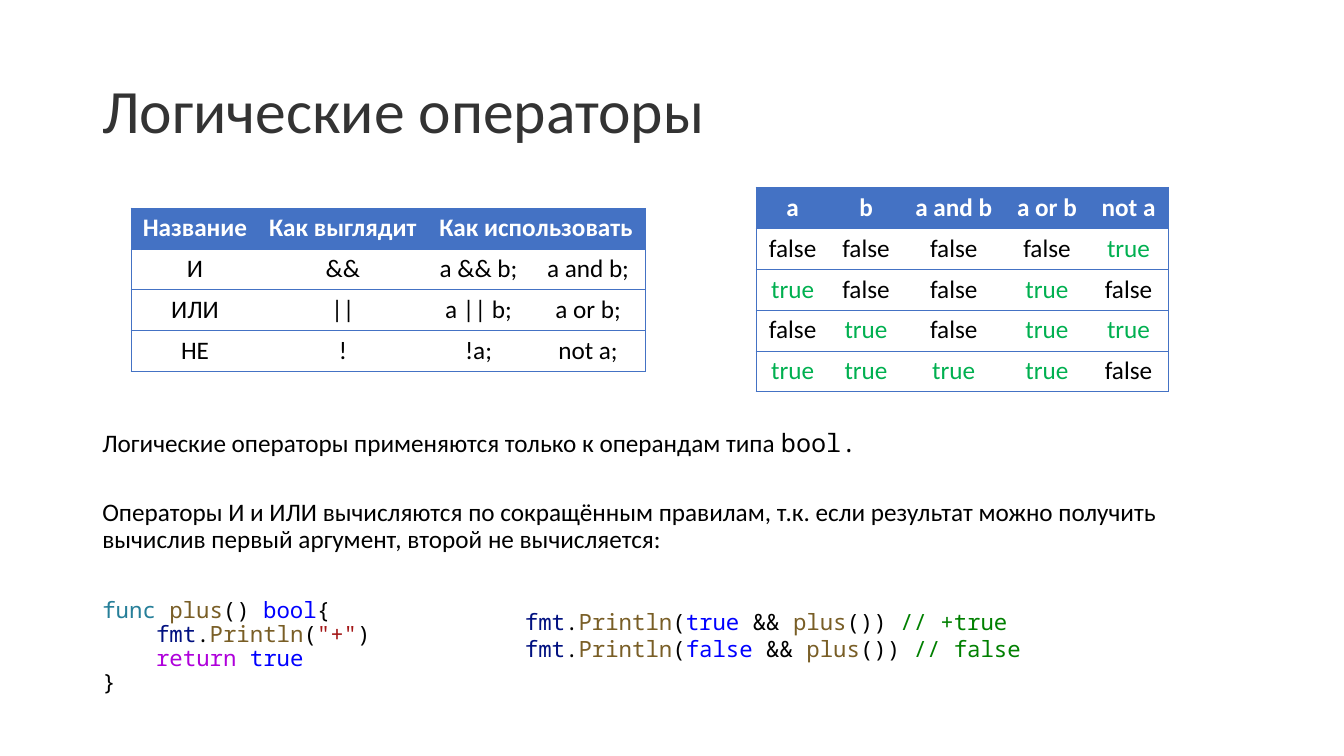
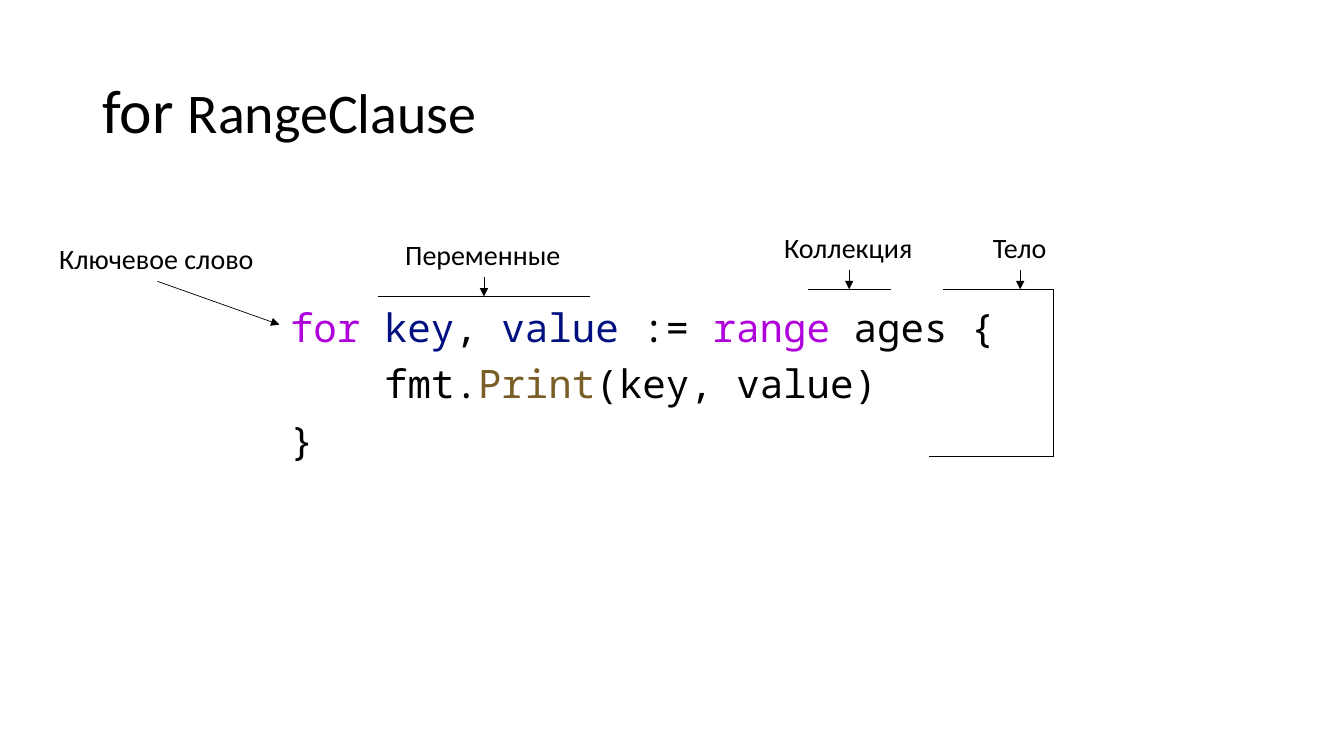
from itertools import pairwise
from typing import NamedTuple

from lxml.etree import SubElement
from pptx import Presentation
from pptx.dml.color import RGBColor
from pptx.enum.shapes import MSO_CONNECTOR as CONN
from pptx.enum.text import MSO_ANCHOR as ANCHOR, PP_ALIGN as ALIGN
from pptx.oxml.ns import qn
from pptx.util import Cm, Pt

# Shared palette and fonts
BLACK, WHITE, GREY = "000000", "FFFFFF", "333333"
BLUE, GREEN = "4472C4", "00B050"
KEYWORD, CONST, TYPE = "AF00DB", "0000FF", "267F99"
FUNC, VAR, STRING, COMMENT = "795E26", "001080", "A31515", "008000"
SANS, MONO = "Calibri", "Noto Sans Mono"
BOTTOM = 2


class Run(NamedTuple):
    text: str
    color: str = BLACK
    font: str | None = None
    size: float | None = None


class Para(NamedTuple):
    runs: list
    font: str = SANS
    size: float = 18
    before: float = 0
    indent: int = 0  # in code characters


def rgb(value):
    return RGBColor.from_string(value)


def code(lines, size, before=0):
    """Turn (indent, run, run, ...) lines into monospaced paragraphs."""
    return [Para(runs, MONO, size, before, indent) for indent, *runs in lines]


class Deck:
    line_width = Pt(0.5)

    def __init__(self):
        self.prs = Presentation()
        self.prs.slide_width, self.prs.slide_height = Cm(33.87), Cm(19.05)
        self.s = None

    def slide(self, *title_runs):
        self.s = self.prs.slides.add_slide(self.prs.slide_layouts[6])
        self.text(2.33, 1.01, 29.21, 3.68, [Para(title_runs, size=44)],
                  anchor=ANCHOR.MIDDLE)

    def text(self, x, y, w, h, paras, spacing=0.9, anchor=ANCHOR.TOP, wrap=True):
        sp = self.s.shapes.add_textbox(Cm(x), Cm(y), Cm(w), Cm(h))
        tf = sp.text_frame
        tf.word_wrap, tf.vertical_anchor = wrap, anchor
        for i, para in enumerate(paras):
            p = tf.add_paragraph() if i else tf.paragraphs[0]
            p.line_spacing = spacing
            p.space_before = Pt(para.before)
            if para.indent:
                # One monospaced character is 0.6 of the font size wide
                p._p.get_or_add_pPr().set("marL", str(Pt(0.6 * para.size * para.indent)))
            for run in para.runs:
                r = p.add_run()
                r.text = run.text
                self.style(r, run.color, run.font or para.font, run.size or para.size)
        return sp

    def style(self, r, color, font=SANS, size=18, bold=False):
        r.font.name, r.font.size, r.font.bold = font, Pt(size), bold
        r.font.color.rgb = rgb(color)

    def line(self, start, end, arrow=False, source=None):
        points = [Cm(v) for v in (*start, *end)]
        c = self.s.shapes.add_connector(CONN.STRAIGHT, *points)
        c.line.color.rgb, c.line.width = rgb(BLACK), self.line_width
        if arrow:
            SubElement(c.line._get_or_add_ln(), qn("a:tailEnd"), type="triangle")
        SubElement(c._element.spPr, qn("a:effectLst"))
        if source is not None:
            c.begin_connect(source, BOTTOM)

    def polyline(self, *points):
        for start, end in pairwise(points):
            self.line(start, end)

    def label(self, text, x, y, w, tip=None):
        """Caption with an arrow from its bottom centre, straight down by default."""
        h, drop = 1.12, 0.48
        sp = self.text(x, y, w, h, [Para([Run(text)], size=20)], spacing=1, wrap=False)
        start = (x + w / 2, y + h)
        self.line(start, tip or (start[0], start[1] + drop), arrow=True, source=sp)

    def table(self, x, y, widths, rows, row_height=1.03):
        frame = self.s.shapes.add_table(len(rows), len(widths), Cm(x), Cm(y),
                                        Cm(sum(widths)), Cm(row_height * len(rows)))
        table = frame.table
        table.horz_banding = False
        for col, width in zip(table.columns, widths):
            col.width = Cm(width)
        for i, row in enumerate(rows):
            table.rows[i].height = Cm(row_height)
            for j, text in enumerate(row):
                self.cell(table.cell(i, j), text, header=i == 0,
                          left=j == 0, right=j == len(widths) - 1)
        return table

    def cell(self, cell, text, header, left, right):
        cell.margin_left = cell.margin_right = Cm(0.2)
        cell.vertical_anchor = ANCHOR.TOP
        self.borders(cell, lnL=left, lnR=right, lnT=True, lnB=True)
        if header:
            cell.fill.solid()
            cell.fill.fore_color.rgb = rgb(BLUE)
        else:
            cell.fill.background()
        p = cell.text_frame.paragraphs[0]
        p.text, p.alignment = text, ALIGN.CENTER
        color = WHITE if header else GREEN if text == "true" else BLACK
        for r in p.runs:
            self.style(r, color, bold=header)

    def borders(self, cell, **sides):
        tc_pr = cell._tc.get_or_add_tcPr()
        for tag, visible in sides.items():
            ln = SubElement(tc_pr, qn(f"a:{tag}"), w=str(self.line_width))
            if visible:
                SubElement(SubElement(ln, qn("a:solidFill")), qn("a:srgbClr"), val=BLUE)
            else:
                SubElement(ln, qn("a:noFill"))


def logical_operators(deck):
    deck.slide(Run("Логические операторы", GREY))

    # Explanation and function definition
    function = code([
        (0, Run("func ", TYPE), Run("plus", FUNC), Run("() "), Run("bool", CONST), Run("{")),
        (4, Run("fmt", VAR), Run("."), Run("Println", FUNC), Run("("),
         Run('"+"', STRING), Run(")")),
        (4, Run("return ", KEYWORD), Run("true", CONST)),
        (0, Run("}")),
    ], size=16)
    function[0] = function[0]._replace(before=32)
    deck.text(2.33, 10.72, 29.21, 6.45, [
        Para([Run("Логические операторы применяются только к операндам типа "),
              Run("bool.", font=MONO)]),
        Para([Run("Операторы И и ИЛИ вычисляются по сокращённым правилам, т.к. если "
                  "результат можно получить вычислив первый аргумент, второй не "
                  "вычисляется:")], before=30),
        *function,
    ])

    # Operator notation
    table = deck.table(3.3, 5.24, [3.23, 4.22, 2.62, 2.9], [
        ["Название", "Как выглядит", "Как использовать", ""],
        ["И", "&&", "a && b;", "a and b;"],
        ["ИЛИ", "||", "a || b;", "a or b;"],
        ["НЕ", "!", "!a;", "not a;"],
    ])
    table.cell(0, 2).merge(table.cell(0, 3))

    # Truth table
    pairs = [(False, False), (True, False), (False, True), (True, True)]
    values = [(a, b, a and b, a or b, not a) for a, b in pairs]
    deck.table(19.05, 4.72, [1.85, 1.85, 2.57, 2.13, 1.98], [
        ["a", "b", "a and b", "a or b", "not a"],
        *[[str(v).lower() for v in row] for row in values],
    ])

    # Calls and their output
    calls = [(0, Run("fmt", VAR), Run("."), Run("Println", FUNC), Run("("),
              Run(value, CONST), Run(" && "), Run("plus", FUNC), Run("())"),
              Run(f" // {output}", COMMENT))
             for value, output in [("true", "+true"), ("false", "false")]]
    deck.text(12.98, 15.21, 16.94, 1.63, code(calls, size=16), spacing=1)


def range_clause(deck):
    deck.slide(Run("for "), Run("RangeClause", size=40))

    # Loop
    deck.text(7.06, 7.65, 26.37, 9.52, code([
        (0, Run("for ", KEYWORD), Run("key", VAR), Run(", "), Run("value", VAR),
         Run(" := "), Run("range", KEYWORD), Run(" ages {")),
        (4, Run("fmt."), Run("Print", FUNC), Run("(key, value)")),
        (0, Run("}")),
    ], size=28, before=10))

    # Captions with arrows
    deck.label("Ключевое слово", 1.24, 5.97, 5.46, tip=(7.04, 8.18))
    deck.label("Переменные", 9.96, 5.87, 4.47)
    deck.label("Коллекция", 19.51, 5.69, 3.78)
    deck.label("Тело", 24.77, 5.69, 1.88)

    # Marks over the parts of the loop
    deck.polyline((9.53, 7.47), (14.86, 7.47))
    deck.polyline((20.37, 7.29), (22.45, 7.29))
    deck.polyline((23.77, 7.29), (26.54, 7.29), (26.54, 11.51), (23.42, 11.51))


def main():
    deck = Deck()
    logical_operators(deck)
    range_clause(deck)
    deck.prs.save("out.pptx")


if __name__ == "__main__":
    main()
